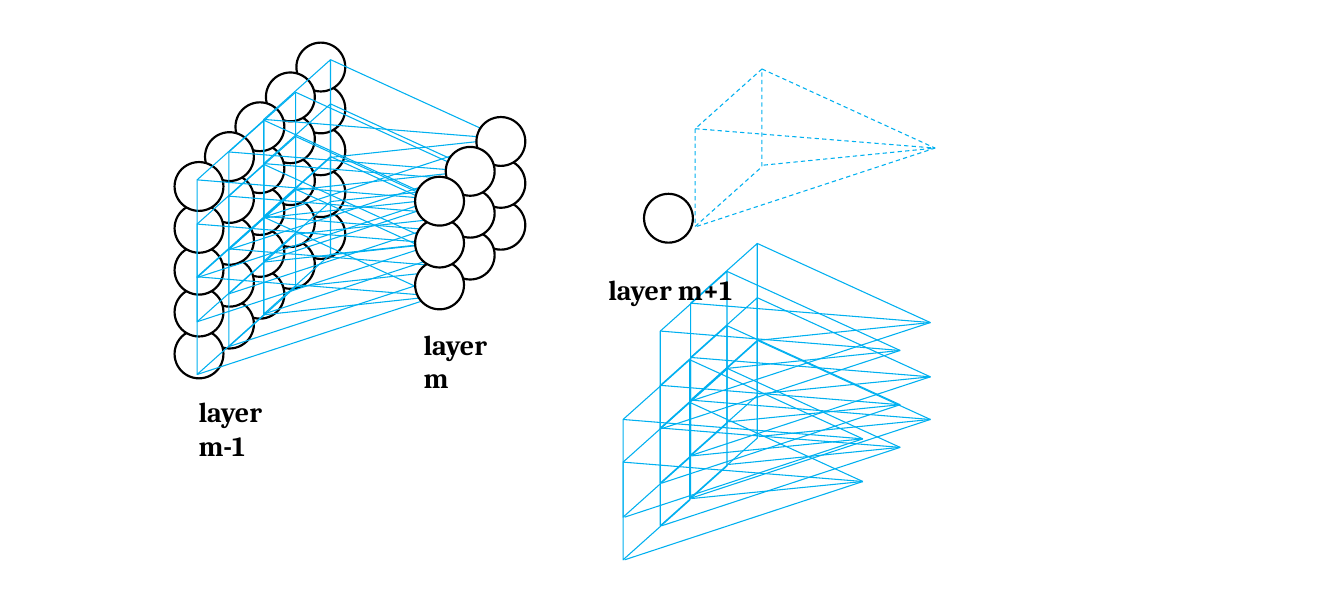
from dataclasses import dataclass

from lxml.etree import SubElement
from pptx import Presentation
from pptx.dml.color import RGBColor
from pptx.enum.dml import MSO_LINE_DASH_STYLE as Dash
from pptx.enum.shapes import MSO_AUTO_SHAPE_TYPE as Preset, MSO_CONNECTOR_TYPE as Link
from pptx.oxml.ns import qn
from pptx.util import Inches, Pt

COLORS = {"outline": "000000", "neuron": "FFFFFF", "field": "00B0F0", "label": "000000"}
LABEL_FONT = {"name": "Cambria", "size": Pt(26), "bold": True}
LABEL_FRAME = {"word_wrap": True}
NEURON_SIZE = 0.63
NEURON_PITCH = 0.54
FIELD_WIDTH = 0.86
FIELD_HEIGHT = 2.03
FIELD_SKEW = 0.77
APEX = (3.09, 1.02)


@dataclass
class Layer:
    back: tuple[float, float]
    front: tuple[float, float]
    count: int


@dataclass
class FieldBank:
    left: float
    tops: tuple[float, ...]
    shifts: tuple[tuple[float, float], ...]
    slack: float = 0
    dashed: bool = False


@dataclass
class Label:
    text: str
    left: float
    top: float
    width: float


INPUT_LAYER = Layer((3.82, 0.55), (2.25, 2.09), 5)
HIDDEN_LAYER = Layer((6.14, 1.51), (5.35, 2.28), 3)
OUTPUT_LAYER = Layer((8.3, 2.5), (8.3, 2.5), 1)

FIELD_BANKS = [
    FieldBank(2.54, (2.12, 2.8, 1.55), ((0, 0), (0.41, -0.36), (0.86, -0.78))),
    FieldBank(8.51, (4.75, 4.2), ((0, 0), (-0.48, 0.44), (0.39, -0.36)), 0.02),
    FieldBank(8.51, (3.5,), ((0, 0), (0.39, -0.36)), 0.01),
    FieldBank(8.96, (0.89,), ((0, 0),), 0.02, True),
]

LABELS = [
    Label("layer m-1", 2.46, 5.04, 1.68),
    Label("layer m", 5.36, 4.17, 1.34),
    Label("layer m+1", 7.74, 3.47, 1.85),
]


def color(role: str) -> RGBColor:
    return RGBColor.from_string(COLORS[role])


def apply(target, values: dict) -> None:
    for attribute, value in values.items():
        setattr(target, attribute, value)


def draw_neuron(shapes, left: float, top: float) -> None:
    size = Inches(NEURON_SIZE)
    neuron = shapes.add_shape(Preset.OVAL, Inches(left), Inches(top), size, size)
    neuron.shadow.inherit = False
    neuron.fill.solid()
    neuron.fill.fore_color.rgb = color("neuron")
    neuron.line.color.rgb = color("outline")
    neuron.line.width = Pt(2)


def draw_layer(shapes, layer: Layer) -> None:
    for column in range(layer.count):
        depth = column / max(layer.count - 1, 1)
        left, top = (b + (f - b) * depth for b, f in zip(layer.back, layer.front))
        for row in reversed(range(layer.count)):
            draw_neuron(shapes, left, top + row * NEURON_PITCH)


def style_field_line(line, dashed: bool) -> None:
    line.color.rgb = color("field")
    line.width = Pt(1)
    if dashed:
        line.dash_style = Dash.DASH


def draw_field(shapes, left: float, top: float, slack: float, dashed: bool) -> None:
    turn = (FIELD_HEIGHT - FIELD_WIDTH) / 2
    window = shapes.add_shape(
        Preset.PARALLELOGRAM, Inches(left - turn), Inches(top + turn),
        Inches(FIELD_HEIGHT), Inches(FIELD_WIDTH))
    window.adjustments[0] = FIELD_SKEW / FIELD_WIDTH
    window.rotation = 90
    window._element.spPr.find(qn("a:xfrm")).set("flipH", "1")
    window.shadow.inherit = False
    window.fill.background()
    style_field_line(window.line, dashed)

    corners = [
        (0, FIELD_SKEW),
        (slack, FIELD_HEIGHT),
        (FIELD_WIDTH, 0),
        (FIELD_WIDTH + slack, FIELD_HEIGHT - FIELD_SKEW - slack),
    ]
    for x, y in corners:
        ray = shapes.add_connector(
            Link.STRAIGHT, Inches(left + x), Inches(top + y),
            Inches(left + APEX[0]), Inches(top + APEX[1]))
        style_field_line(ray.line, dashed)
        SubElement(ray._element.spPr, qn("a:effectLst"))


def draw_bank(shapes, bank: FieldBank) -> None:
    for top in bank.tops:
        for dx, dy in bank.shifts:
            draw_field(shapes, bank.left + dx, top + dy, bank.slack, bank.dashed)


def draw_label(shapes, label: Label) -> None:
    caption = shapes.add_textbox(
        Inches(label.left), Inches(label.top), Inches(label.width), Inches(0.54))
    apply(caption.text_frame, LABEL_FRAME)
    run = caption.text_frame.paragraphs[0].add_run()
    run.text = label.text
    apply(run.font, LABEL_FONT)
    run.font.color.rgb = color("label")


def main() -> None:
    deck = Presentation()
    apply(deck, {"slide_width": Inches(17.32), "slide_height": Inches(7.88)})
    shapes = deck.slides.add_slide(deck.slide_layouts[6]).shapes
    draw_layer(shapes, INPUT_LAYER)
    for bank in FIELD_BANKS:
        draw_bank(shapes, bank)
    for layer in (HIDDEN_LAYER, OUTPUT_LAYER):
        draw_layer(shapes, layer)
    for label in LABELS:
        draw_label(shapes, label)
    deck.save("out.pptx")


if __name__ == "__main__":
    main()
